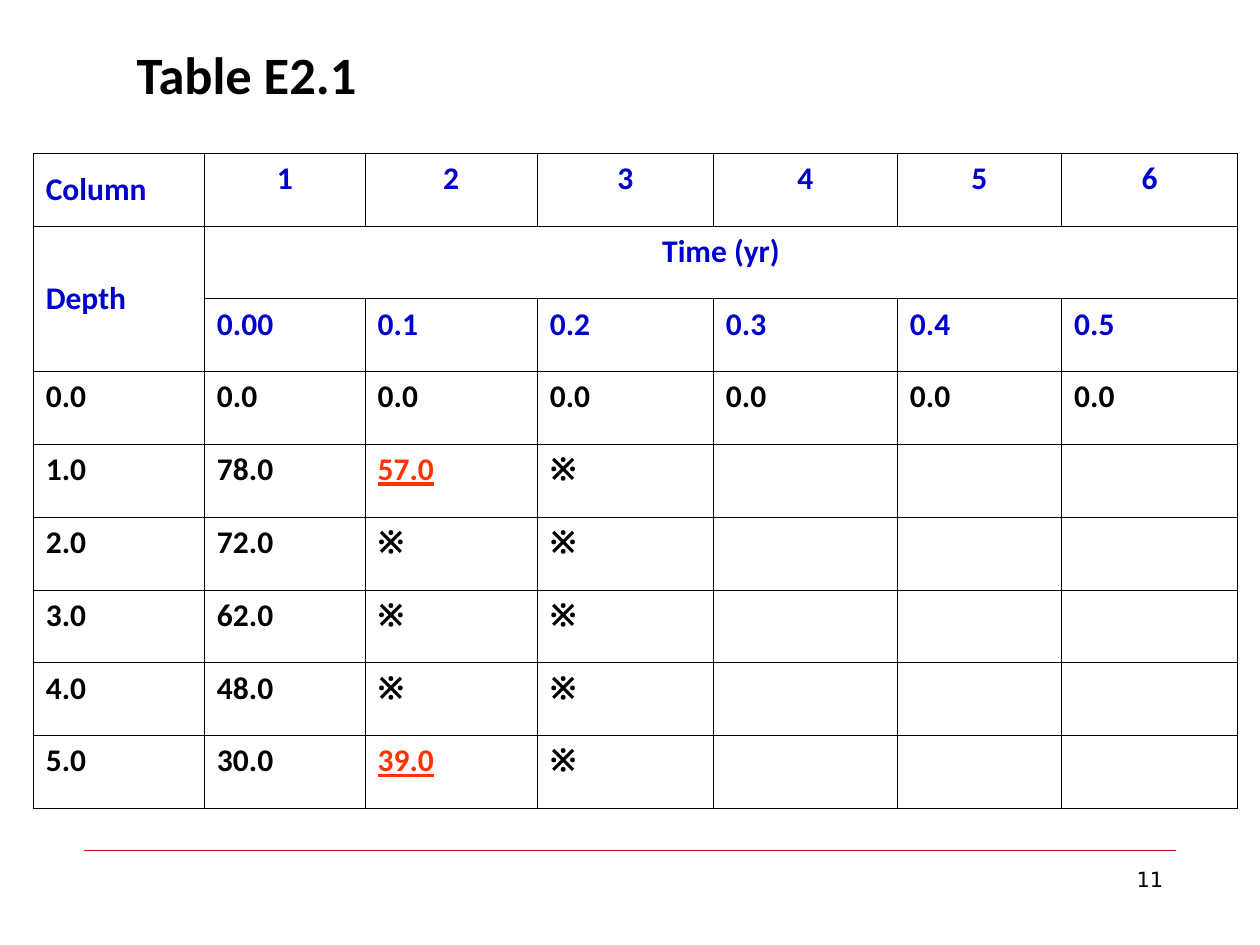
from lxml.etree import SubElement
from pptx import Presentation
from pptx.dml.color import RGBColor
from pptx.enum.shapes import MSO_CONNECTOR
from pptx.enum.text import MSO_ANCHOR as Anchor, MSO_AUTO_SIZE as AutoSize, PP_ALIGN as Align
from pptx.oxml.ns import qn
from pptx.util import Cm, Pt

BLACK, WHITE, BLUE, ORANGE, RED = "000000", "FFFFFF", "0000CC", "FF3300", "CC0000"
COLUMN_WIDTHS = [3.45, 3.24, 3.47, 3.55, 3.71, 3.31, 3.55]
HEADER_ROWS = 3
MARK = "※"
ROWS = [
    ["Column", "1", "2", "3", "4", "5", "6"],
    ["Depth", "Time (yr)"],
    ["", "0.00", "0.1", "0.2", "0.3", "0.4", "0.5"],
    ["0.0"] * 7,
    ["1.0", "78.0", "57.0", MARK],
    ["2.0", "72.0", MARK, MARK],
    ["3.0", "62.0", MARK, MARK],
    ["4.0", "48.0", MARK, MARK],
    ["5.0", "30.0", "39.0", MARK],
]
BOUNDARY_CELLS = {(4, 2), (8, 2)}


def paint(target, color):
    """Set a colour given as a hex string on a fill or a font."""
    if hasattr(target, "solid"):
        target.solid()
        target.fore_color.rgb = RGBColor.from_string(color)
    else:
        target.color.rgb = RGBColor.from_string(color)


def write(frame, wording, size, color, font="Calibri", bold=True, align=Align.LEFT):
    """Add one formatted run to the first paragraph and return it."""
    paragraph = frame.paragraphs[0]
    paragraph.alignment = align
    run = paragraph.add_run()
    run.text = wording
    run.font.name, run.font.size, run.font.bold = font, Pt(size), bold
    paint(run.font, color)
    return run


def border(cell, color, width):
    """Draw a solid line on all four sides of a cell."""
    properties = cell._tc.get_or_add_tcPr()
    for side in ("lnL", "lnR", "lnT", "lnB"):
        line = SubElement(properties, qn(f"a:{side}"), w=str(Pt(width)))
        SubElement(SubElement(line, qn("a:solidFill")), qn("a:srgbClr"), val=color)


def add_heading(slide, left, top, width, height):
    """Move the title placeholder into the box and fill it."""
    title = slide.shapes.title
    title.left, title.top, title.width, title.height = map(Cm, (left, top, width, height))
    frame = title.text_frame
    frame.auto_size, frame.vertical_anchor = AutoSize.NONE, Anchor.TOP
    write(frame, "Table E2.1", 30, BLACK)


def add_depth_table(slide, left, top, height):
    """Build the grid of values by depth and time."""
    box = map(Cm, (left, top, sum(COLUMN_WIDTHS), height))
    table = slide.shapes.add_table(len(ROWS), len(COLUMN_WIDTHS), *box).table
    table.first_row = table.horz_banding = False
    for column, width in zip(table.columns, COLUMN_WIDTHS):
        column.width = Cm(width)
    for r, row in enumerate(ROWS):
        for c in range(len(COLUMN_WIDTHS)):
            cell = table.cell(r, c)
            border(cell, BLACK, 0.45)
            paint(cell.fill, WHITE)
            if c < len(row) and row[c]:
                fill_cell(cell, row[c], r, c)
    table.cell(1, 0).merge(table.cell(2, 0))
    table.cell(1, 1).merge(table.cell(1, len(COLUMN_WIDTHS) - 1))


def fill_cell(cell, wording, r, c):
    """Write a cell in the style that its place in the grid calls for."""
    boundary = (r, c) in BOUNDARY_CELLS
    color = BLUE if r < HEADER_ROWS else ORANGE if boundary else BLACK
    centred = r < 2 and c > 0
    run = write(cell.text_frame, wording, 18, color, align=Align.CENTER if centred else Align.LEFT)
    if boundary:
        run.font.underline = True
    if r < 2 and c == 0:
        cell.vertical_anchor = Anchor.MIDDLE


def add_footer(slide, left, top, width):
    """Draw the footer rule with the page number under its right end."""
    right = left + width
    ends = map(Cm, (left, top, right, top))
    rule = slide.shapes.add_connector(MSO_CONNECTOR.STRAIGHT, *ends)
    rule.line.width = Pt(0.25)
    paint(rule.line.fill, RED)
    SubElement(rule._element.spPr, qn("a:effectLst"))
    number_width = 5.5
    page_box = map(Cm, (right - number_width, top + 0.2, number_width, 1.32))
    page_number = slide.shapes.add_textbox(*page_box).text_frame
    page_number.word_wrap = True
    write(page_number, "11", 12, BLACK, "DejaVu Sans", False, Align.RIGHT)


def main():
    """Build and save the slide."""
    deck = Presentation()
    deck.slide_width, deck.slide_height = Cm(25.4), Cm(19.05)
    slide = deck.slides.add_slide(deck.slide_layouts[5])
    add_footer(slide, 1.7, 17.15, 22)
    add_heading(slide, 2.5, 0.71, 5.4, 2.8)
    add_depth_table(slide, 0.67, 3.09, 13.21)
    deck.save("out.pptx")


if __name__ == "__main__":
    main()
